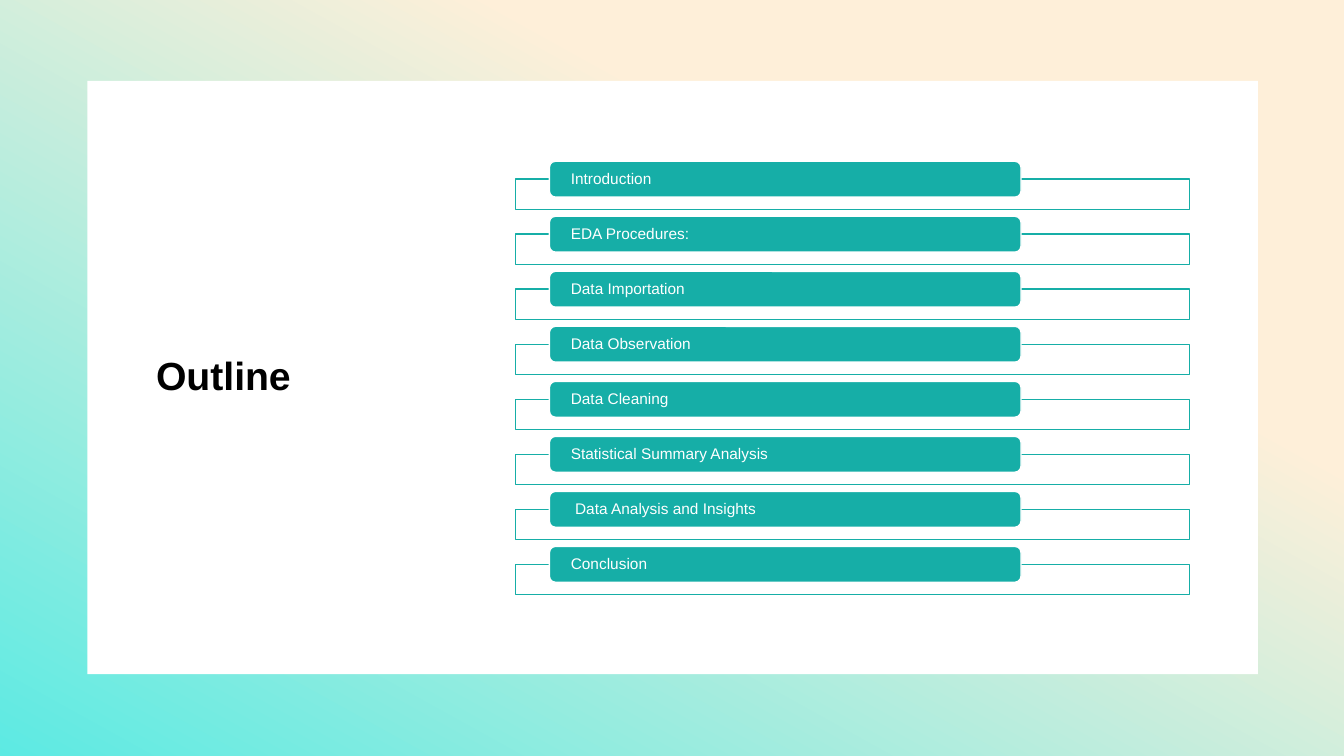
from dataclasses import dataclass

from lxml.etree import SubElement
from pptx import Presentation
from pptx.dml.color import RGBColor
from pptx.enum.shapes import MSO_SHAPE
from pptx.enum.text import MSO_ANCHOR, PP_ALIGN
from pptx.oxml.ns import qn
from pptx.util import Pt


@dataclass(frozen=True)
class Theme:
    font: str = "Arial"
    teal: str = "16AEA7"
    white: str = "FFFFFF"
    black: str = "000000"
    cream: str = "FEEFD9"
    aqua: str = "58EAE3"
    title_size: float = 28
    item_size: float = 11
    line_width: float = 1


THEME = Theme()
ITEMS = [
    "Introduction",
    "EDA Procedures:",
    "Data Importation",
    "Data Observation",
    "Data Cleaning",
    "Statistical Summary Analysis",
    " Data Analysis and Insights",
    "Conclusion",
]


def add_box(s, kind, box, fill=None, line=None):
    sp = s.shapes.add_shape(kind, *(Pt(v) for v in box))
    sp.shadow.inherit = False
    if fill:
        sp.fill.solid()
        sp.fill.fore_color.rgb = RGBColor.from_string(fill)
    if line:
        sp.line.color.rgb = RGBColor.from_string(line)
        sp.line.width = Pt(THEME.line_width)
    else:
        sp.line.fill.background()
    return sp


def set_text(sp, text, size, color, bold=False, inset=(7.2, 3.6)):
    tf = sp.text_frame
    across, down = (Pt(v) for v in inset)
    frame_format = {
        "word_wrap": True,
        "vertical_anchor": MSO_ANCHOR.MIDDLE,
        "margin_left": across,
        "margin_right": across,
        "margin_top": down,
        "margin_bottom": down,
    }
    for name, value in frame_format.items():
        setattr(tf, name, value)
    p = tf.paragraphs[0]
    p.alignment = PP_ALIGN.LEFT
    p.line_spacing = 0.9
    r = p.add_run()
    r.text = text
    for name, value in {"name": THEME.font, "size": Pt(size), "bold": bold}.items():
        setattr(r.font, name, value)
    r.font.color.rgb = RGBColor.from_string(color)


def add_backdrop(s, box):
    # Slightly turned gradient that bleeds past the slide edges
    sp = add_box(s, MSO_SHAPE.RECTANGLE, box)
    sp.rotation = 359
    sp.fill.gradient()
    sp.fill.gradient_angle = 240
    stops = [(0.32, THEME.cream), (1, THEME.aqua)]
    for stop, (position, color) in zip(sp.fill.gradient_stops, stops):
        stop.position = position
        stop.color.rgb = RGBColor.from_string(color)


def add_title(s, box, text):
    sp = s.shapes.add_textbox(*(Pt(v) for v in box))
    set_text(sp, text, THEME.title_size, THEME.black, bold=True)


def add_outline_item(s, box, text):
    # Frame starts at the middle of the label bar
    left, top, width, height = box
    bar_height = 25.6
    frame_top = top + bar_height / 2
    frame = add_box(s, MSO_SHAPE.RECTANGLE,
                    (left, frame_top, width, top + height - frame_top),
                    THEME.white, THEME.teal)
    color = frame.fill._xPr.find(qn("a:solidFill"))[0]
    SubElement(color, qn("a:alpha"), val="90000")

    # Label bar, indented by a twentieth of the width
    bar = add_box(s, MSO_SHAPE.ROUNDED_RECTANGLE,
                  (left + width / 20, top, width * 0.7, bar_height),
                  THEME.teal, THEME.white)
    set_text(bar, text, THEME.item_size, THEME.white, inset=(14, 0))


def add_outline(s, box, items):
    left, top, width, height = box
    item_height = 34.4
    pitch = (height - item_height) / (len(items) - 1)
    for i, text in enumerate(items):
        add_outline_item(s, (left, top + i * pitch, width, item_height), text)


def build_slide(prs):
    s = prs.slides.add_slide(prs.slide_layouts[6])
    add_backdrop(s, (-4.3, -8.6, 969.1, 556.6))
    add_box(s, MSO_SHAPE.RECTANGLE, (62.5, 57.8, 836, 423.8), THEME.white)
    add_title(s, (104.4, 162, 237.6, 215.3), "Outline")
    add_outline(s, (368.4, 115.2, 481.2, 309.5), ITEMS)


def main():
    prs = Presentation()
    prs.slide_width, prs.slide_height = Pt(960), Pt(540)
    build_slide(prs)
    prs.save("out.pptx")


if __name__ == "__main__":
    main()
